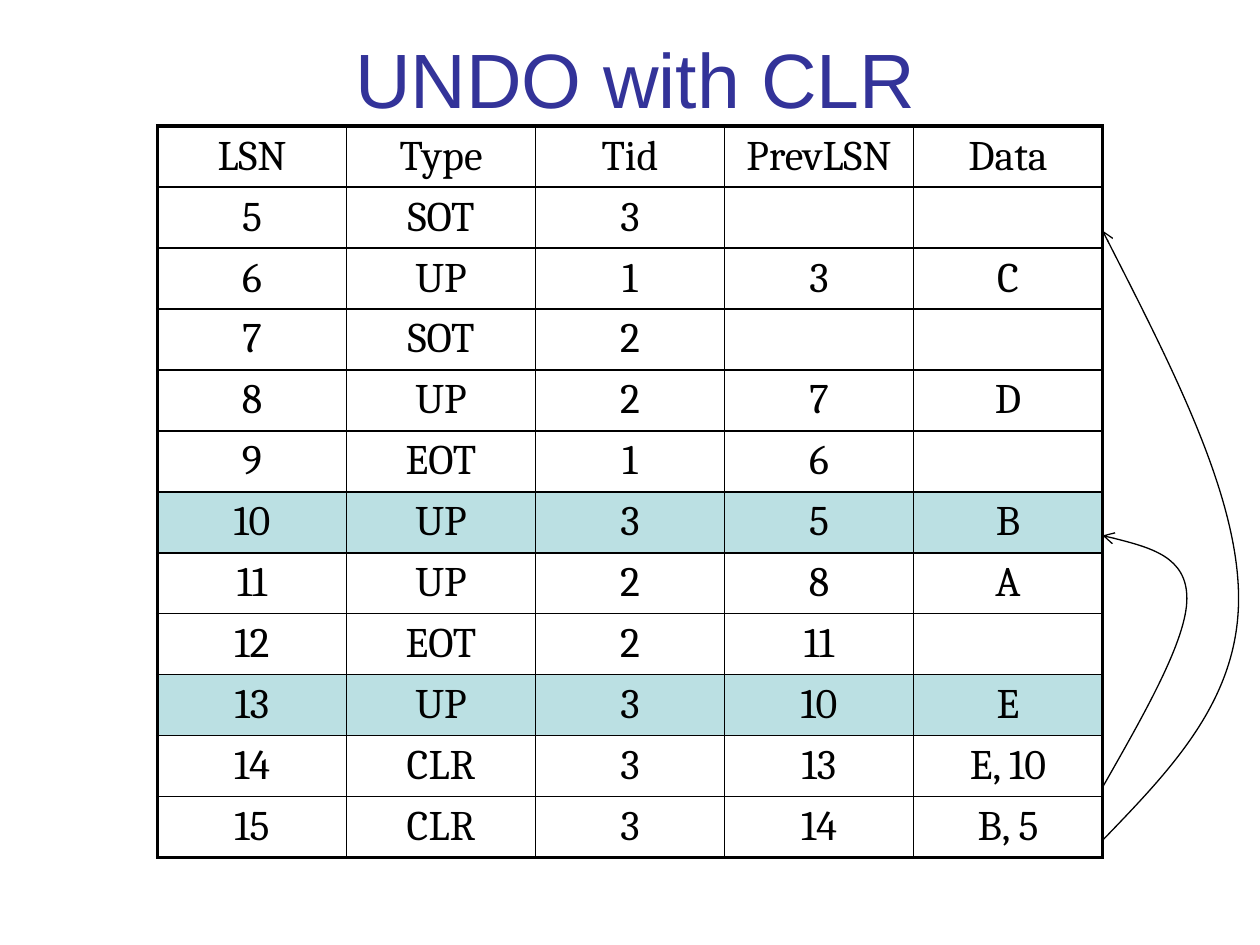
from lxml import etree
from pptx import Presentation
from pptx.dml.color import RGBColor
from pptx.enum.text import MSO_ANCHOR, PP_ALIGN
from pptx.oxml.ns import qn
from pptx.util import Inches, Pt

CENTER = PP_ALIGN.CENTER
MIDDLE = MSO_ANCHOR.MIDDLE


def rgb(value):
    return RGBColor.from_string(value)


def add_run(p, text, font, size, color):
    p.alignment = CENTER
    r = p.add_run()
    r.text = text
    r.font.name = font
    r.font.size = Pt(size)
    r.font.bold = False
    r.font.color.rgb = rgb(color)


prs = Presentation()
prs.slide_width = Inches(10)
prs.slide_height = Inches(7.5)
W, H = prs.slide_width, prs.slide_height
s = prs.slides.add_slide(prs.slide_layouts[5])

title = s.shapes.title
title.left, title.top = Inches(0.42), Inches(0.08)
title.width, title.height = Inches(9.25), Inches(1.08)
tf = title.text_frame
tf.vertical_anchor = MIDDLE
add_run(tf.paragraphs[0], "UNDO with CLR", "Arial", 44, "333399")

log = [
    ["LSN", "Type", "Tid", "PrevLSN", "Data"],
    ["5", "SOT", "3", "", ""],
    ["6", "UP", "1", "3", "C"],
    ["7", "SOT", "2", "", ""],
    ["8", "UP", "2", "7", "D"],
    ["9", "EOT", "1", "6", ""],
    ["10", "UP", "3", "5", "B"],
    ["11", "UP", "2", "8", "A"],
    ["12", "EOT", "2", "11", ""],
    ["13", "UP", "3", "10", "E"],
    ["14", "CLR", "3", "13", "E, 10"],
    ["15", "CLR", "3", "14", "B, 5"],
]
fills = {"10": "BBE0E3", "13": "BBE0E3", "14": "FFFFFF", "15": "FFFFFF"}
rows, cols = len(log), len(log[0])
row_height = Inches(0.48)
table = s.shapes.add_table(
    rows, cols, W // 8, Inches(1), W * 3 // 4, row_height * rows
).table
table.first_row = False
table.horz_banding = False

for i, record in enumerate(log):
    table.rows[i].height = row_height
    for j, text in enumerate(record):
        cell = table.cell(i, j)
        p = cell.text_frame.paragraphs[0]
        if text:
            add_run(p, text, "Cambria", 24, "000000")
        tcPr = cell._tc.get_or_add_tcPr()
        outer = {"lnL": j == 0, "lnR": j == cols - 1, "lnT": i == 0, "lnB": i == rows - 1}
        for side, is_outer in outer.items():
            ln = etree.SubElement(tcPr, qn(f"a:{side}"), w=str(Pt(2.25 if is_outer else 1)))
            fill = etree.SubElement(ln, qn("a:solidFill"))
            etree.SubElement(fill, qn("a:srgbClr"), val="000000")
        if record[0] in fills:
            cell.fill.solid()
            cell.fill.fore_color.rgb = rgb(fills[record[0]])
        else:
            cell.fill.background()

undo_arrows = [
    [(8.75, 6.25), (9.08, 5.67), (9.42, 5.08), (9.42, 4.75),
     (9.42, 4.42), (9.08, 4.33), (8.75, 4.25)],
    [(8.75, 6.67), (9.29, 6.11), (9.83, 5.56), (9.83, 4.75),
     (9.83, 3.94), (9.29, 2.89), (8.75, 1.83)],
]
for points in undo_arrows:
    start, *rest = [(Inches(x), Inches(y)) for x, y in points]
    builder = s.shapes.build_freeform(*start)
    builder.add_line_segments(rest, close=False)
    sp = builder.convert_to_shape()
    sp.shadow.inherit = False
    sp.fill.background()
    sp.line.color.rgb = rgb("000000")
    sp.line.width = Pt(0.75)
    etree.SubElement(sp.line._get_or_add_ln(), qn("a:tailEnd"), type="arrow")
    segments = list(sp._element.iter(qn("a:lnTo")))
    outline = segments[0].getparent()
    for k in range(0, len(segments), 3):
        curve = etree.SubElement(outline, qn("a:cubicBezTo"))
        for segment in segments[k:k + 3]:
            curve.append(segment[0])
            outline.remove(segment)

prs.save("out.pptx")
